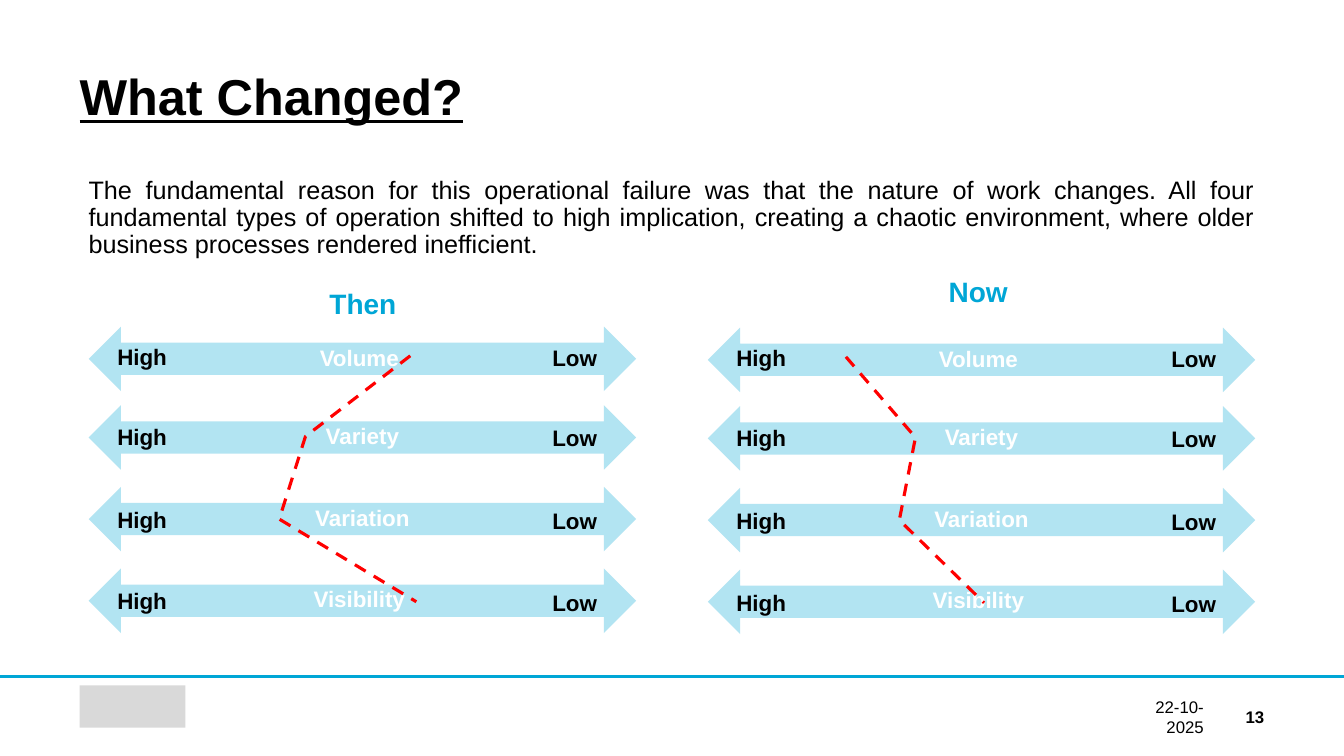
from lxml import etree
from pptx import Presentation
from pptx.dml.color import RGBColor
from pptx.enum.dml import MSO_LINE
from pptx.enum.shapes import MSO_CONNECTOR, MSO_SHAPE
from pptx.enum.text import MSO_ANCHOR, MSO_AUTO_SIZE, PP_ALIGN
from pptx.oxml.ns import qn
from pptx.util import Inches, Pt

CYAN = RGBColor(0x00, 0xA6, 0xD6)
BLACK = RGBColor(0x00, 0x00, 0x00)
WHITE = RGBColor(0xFF, 0xFF, 0xFF)
RED = RGBColor(0xFF, 0x00, 0x00)
GREY = RGBColor(0xD9, 0xD9, 0xD9)

SLIDE_W, SLIDE_H = 13.33, 7.5
PANEL_W, ARROW_H = 5.43, 0.64
TAG_W, TAG_H = 1.06, 0.31

INTRO = (
    "The fundamental reason for this operational failure was that the nature of "
    "work changes. All four fundamental types of operation shifted to high "
    "implication, creating a chaotic environment, where older business processes "
    "rendered inefficient."
)
# Dimension, then the offsets of its arrow, tags and trend point from the panel top
DIMENSIONS = [
    ("Volume ", 0, 0.19, 0.29),
    ("Variety", 0.78, 0.99, 1.09),
    ("Variation", 1.59, 1.81, 1.91),
    ("Visibility ", 2.4, 2.62, 2.73),
]


def inches(*lengths):
    return [Inches(length) for length in lengths]


def write(shape, text, size, color, align, bold=False, spacing=0.9,
          anchor=MSO_ANCHOR.TOP, insets=(0, 0)):
    """Fill a shape with one formatted paragraph; insets are horizontal, vertical."""
    frame = shape.text_frame
    frame.word_wrap = True
    frame.auto_size = MSO_AUTO_SIZE.NONE
    frame.vertical_anchor = anchor
    frame.margin_left = frame.margin_right = Inches(insets[0])
    frame.margin_top = frame.margin_bottom = Inches(insets[1])
    frame.text = text
    paragraph = frame.paragraphs[0]
    paragraph.alignment = align
    paragraph.line_spacing = spacing
    font = paragraph.font
    font.name, font.size, font.bold = "Arial", Pt(size), bold
    font.color.rgb = color
    return font


def add_text(slide, box, *args, **kwargs):
    write(slide.shapes.add_textbox(*inches(*box)), *args, **kwargs)


def add_block(slide, kind, box, color):
    block = slide.shapes.add_shape(kind, *inches(*box))
    block.shadow.inherit = False
    block.fill.solid()
    block.fill.fore_color.rgb = color
    block.line.fill.background()
    return block


def add_title(slide, box):
    title = slide.shapes.title
    title.left, title.top, title.width, title.height = inches(*box)
    font = write(title, "What Changed?", 36, BLACK, PP_ALIGN.LEFT, bold=True,
                 spacing=Pt(36))
    font.underline = True


def add_dimension_arrow(slide, label, left, top):
    arrow = add_block(slide, MSO_SHAPE.LEFT_RIGHT_ARROW,
                      (left, top, PANEL_W, ARROW_H), CYAN)
    color = arrow.fill._xPr.find(qn("a:solidFill"))[0]
    etree.SubElement(color, qn("a:alpha"), val="30000")
    write(arrow, label, 16, WHITE, PP_ALIGN.CENTER, bold=True,
          anchor=MSO_ANCHOR.MIDDLE)


def add_trend(slide, points):
    (start_x, start_y), *rest = [inches(*point) for point in points]
    builder = slide.shapes.build_freeform(start_x, start_y)
    builder.add_line_segments(rest, close=False)
    trend = builder.convert_to_shape()
    trend.shadow.inherit = False
    trend.fill.background()
    trend.line.color.rgb = RED
    trend.line.width = Pt(2.25)
    trend.line.dash_style = MSO_LINE.DASH


def add_panel(slide, left, top, heading, heading_rise, trend_xs):
    """Four High-Low arrows under a heading, crossed by a dashed profile."""
    for label, arrow_y, tag_y, _ in DIMENSIONS:
        add_dimension_arrow(slide, label, left, top + arrow_y)
        for tag, tag_x, drop in (("High", 0, 0), ("Low", 4.29, 0.01)):
            add_text(slide, (left + tag_x, top + tag_y + drop, TAG_W, TAG_H),
                     tag, 16, BLACK, PP_ALIGN.CENTER, bold=True)
    add_trend(slide, [(left + x, top + dimension[-1])
                      for x, dimension in zip(trend_xs, DIMENSIONS)])
    banner = add_block(slide, MSO_SHAPE.RECTANGLE,
                       (left + 0.23, top - heading_rise, 4.98, 0.4), WHITE)
    write(banner, heading, 20, CYAN, PP_ALIGN.CENTER, bold=True,
          insets=(0.1, 0.05))


def add_footer(slide, top):
    rule = slide.shapes.add_connector(MSO_CONNECTOR.STRAIGHT,
                                      *inches(0, top, SLIDE_W, top))
    rule.line.color.rgb = CYAN
    rule.line.width = Pt(2.25)
    etree.SubElement(rule.line._get_or_add_ln().getparent(), qn("a:effectLst"))
    add_block(slide, MSO_SHAPE.RECTANGLE, (0.79, top + 0.09, 1.05, 0.42), GREY)
    for text, left, width, bold in (("22-10-2025", 11.1, 0.84, False),
                                    ("13", 12.22, 0.32, True)):
        add_text(slide, (left, top + 0.3, width, 0.2), text, 12, BLACK,
                 PP_ALIGN.RIGHT, bold=bold, spacing=1.0,
                 anchor=MSO_ANCHOR.MIDDLE)


def main():
    deck = Presentation()
    deck.slide_width, deck.slide_height = inches(SLIDE_W, SLIDE_H)
    slide = deck.slides.add_slide(deck.slide_layouts[5])
    add_title(slide, (0.79, 0.75, 11.76, 0.5))
    add_footer(slide, 6.71)
    add_panel(slide, 0.88, 3.24, "Then", 0.41, (3.19, 2.15, 1.89, 3.25))
    add_panel(slide, 7.02, 3.25, "Now ", 0.54, (1.37, 2.06, 1.9, 2.74))
    add_text(slide, (0.78, 1.71, 11.76, 0.92), INTRO, 18, BLACK,
             PP_ALIGN.JUSTIFY, insets=(0.1, 0.05))
    deck.save("out.pptx")


if __name__ == "__main__":
    main()
